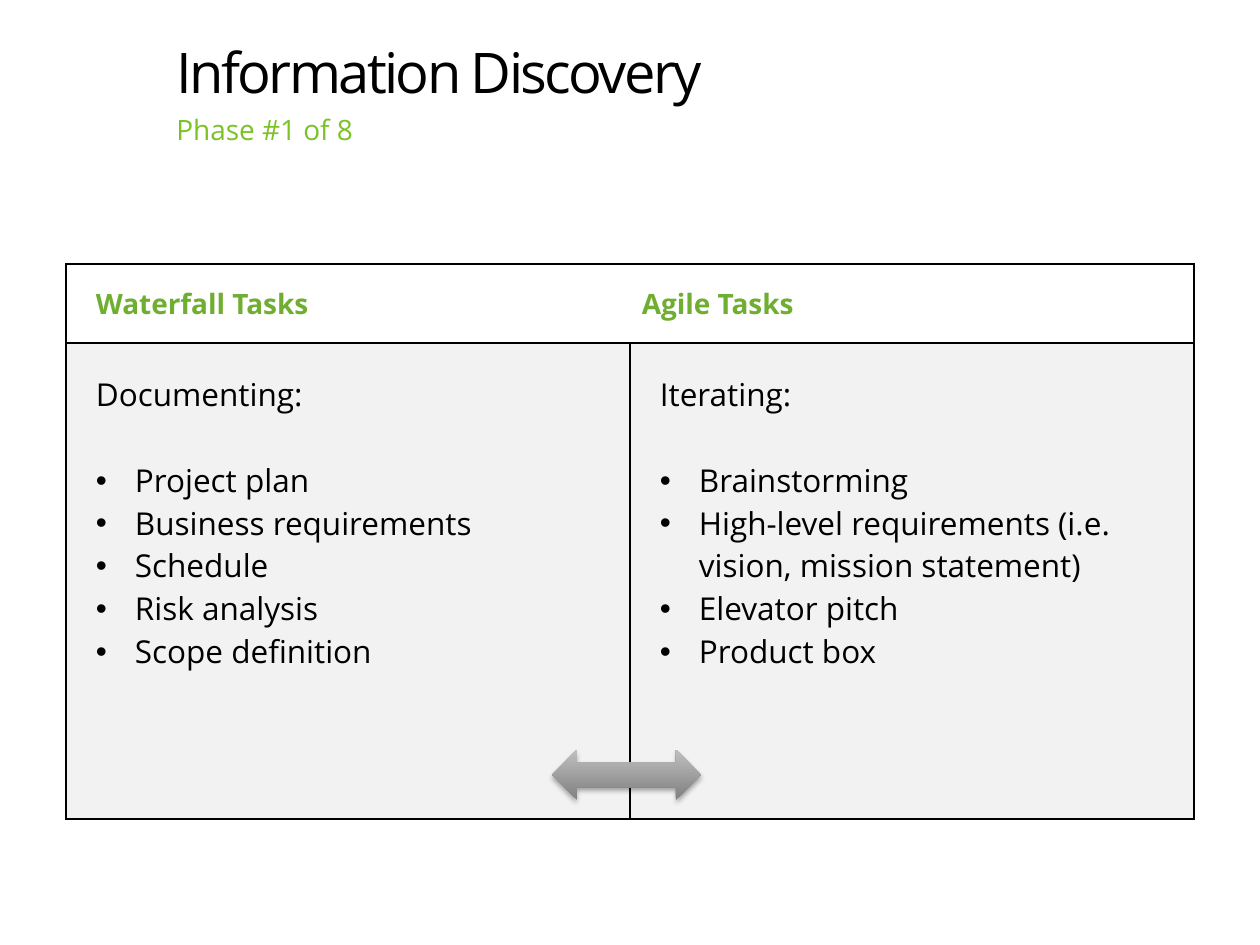
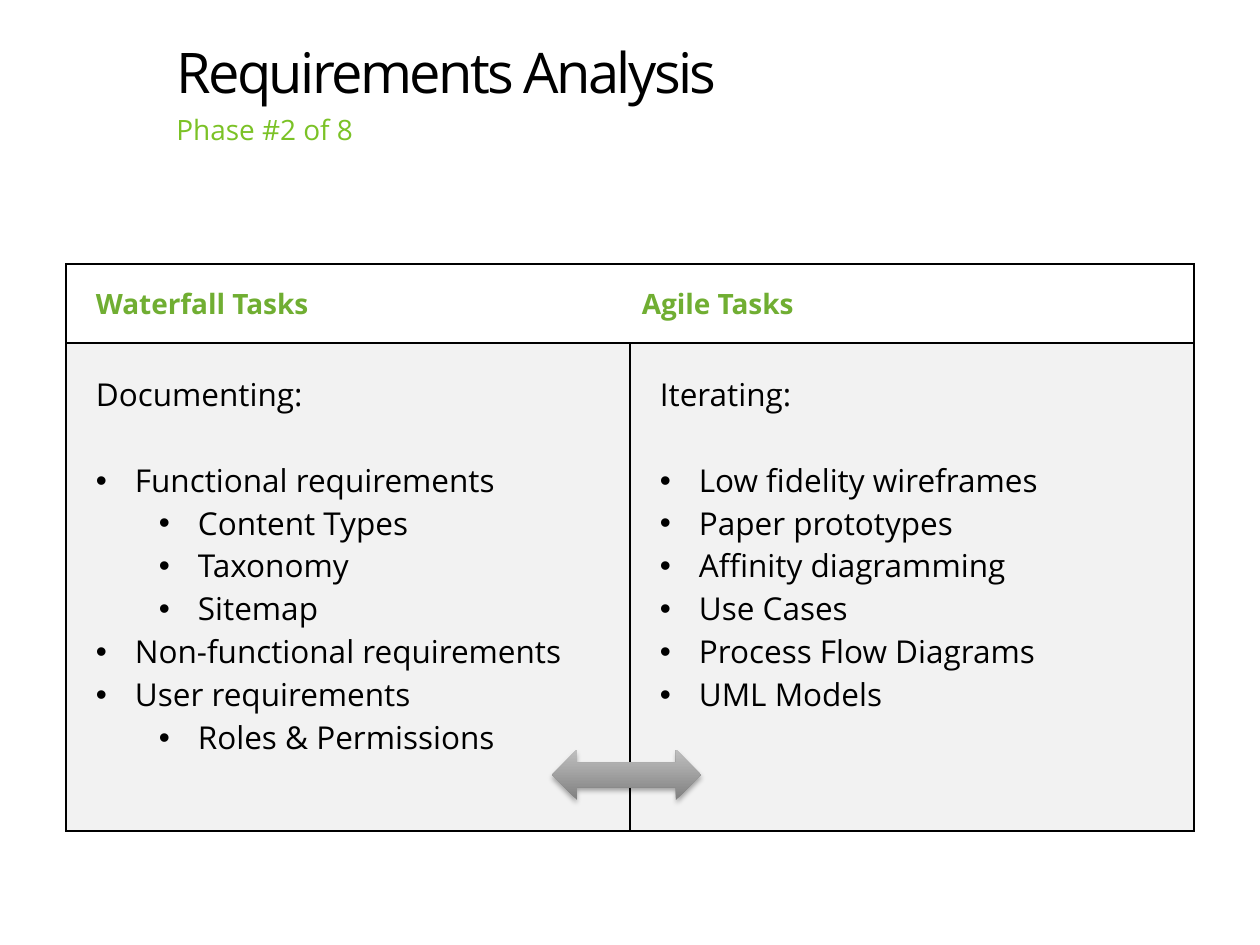
"""Build two slides that compare waterfall and agile tasks by project phase."""
from lxml import etree
from pptx import Presentation
from pptx.dml.color import RGBColor
from pptx.enum.shapes import MSO_SHAPE
from pptx.enum.text import MSO_ANCHOR
from pptx.oxml.ns import qn
from pptx.util import Pt

MIDDLE = MSO_ANCHOR.MIDDLE
DOUBLE_ARROW = MSO_SHAPE.LEFT_RIGHT_ARROW

BLACK = RGBColor(0x00, 0x00, 0x00)
LIME = RGBColor(0x7B, 0xC2, 0x26)
GREEN = RGBColor(0x70, 0xAE, 0x32)
PALE_GREY = RGBColor(0xF2, 0xF2, 0xF2)
MID_GREY = RGBColor(0x80, 0x80, 0x80)
LIGHT_GREY = RGBColor(0xBF, 0xBF, 0xBF)

FONT = "Open Sans"
PX_PER_INCH = 126
BORDER_SIDES = ("a:lnL", "a:lnR", "a:lnT", "a:lnB")
PADDING = 30
HANGING = 39
LEVEL_STEP = 63
COLUMN_WIDTH = 564
HEADER_HEIGHT = 79
AGILE_TAB = 546
BLANK_LINE = 24.5

PHASES = [
    ("Information Discovery", 476,
     [(0, "Project plan"), (0, "Business requirements"), (0, "Schedule"),
      (0, "Risk analysis"), (0, "Scope definition")],
     [(0, "Brainstorming"),
      (0, "High-level requirements (i.e. vision, mission statement)"),
      (0, "Elevator pitch"), (0, "Product box")]),
    ("Requirements Analysis", 488,
     [(0, "Functional requirements"), (1, "Content Types"), (1, "Taxonomy"),
      (1, "Sitemap"), (0, "Non-functional requirements"),
      (0, "User requirements"), (1, "Roles & Permissions")],
     [(0, "Low fidelity wireframes"), (0, "Paper prototypes"),
      (0, "Affinity diagramming"), (0, "Use Cases"),
      (0, "Process Flow Diagrams"), (0, "UML Models")]),
]


def emu(px):
    """Convert px to EMU."""
    return round(px * 914400 / PX_PER_INCH)


def add_xml(parent, tag, **attributes):
    """Append a DrawingML element and return it."""
    element = etree.SubElement(parent, qn(tag))
    for name, value in attributes.items():
        element.set(name, str(value))
    return element


class PhaseDeck:
    """Hold the deck style and the current slide."""

    def __init__(self):
        """Start an empty deck."""
        self.presentation = Presentation()
        self.presentation.slide_width = emu(1260)
        self.presentation.slide_height = emu(945)
        self.slide = None

    def new_slide(self):
        """Add a blank slide and make it current."""
        self.slide = self.presentation.slides.add_slide(self.presentation.slide_layouts[6])

    def style(self, paragraph, size, color, bold=False):
        """Set the font of a whole paragraph."""
        font = paragraph.font
        font.name, font.size, font.bold = FONT, Pt(size), bold
        font.color.rgb = color

    def text(self, box, words, size, color, spacing=0):
        """Add a one-paragraph text box."""
        frame = self.slide.shapes.add_textbox(*map(emu, box)).text_frame
        frame.word_wrap = True
        paragraph = frame.paragraphs[0]
        run = paragraph.add_run()
        run.text = words
        self.style(paragraph, size, color)
        if spacing:
            run._r.get_or_add_rPr().set("spc", str(spacing))

    def borders(self, cell):
        """Draw a thin black line on each side of a cell."""
        properties = cell._tc.get_or_add_tcPr()
        for position, side in enumerate(BORDER_SIDES):
            line = add_xml(properties, side, w=Pt(1))
            add_xml(add_xml(line, "a:solidFill"), "a:srgbClr", val=BLACK)
            properties.insert(position, line)

    def margins(self, cell, left, others):
        """Set the inner margins of a cell."""
        cell.margin_left = emu(left)
        cell.margin_top = cell.margin_right = cell.margin_bottom = emu(others)

    def header(self, cell):
        """Fill the heading row that spans both columns."""
        self.margins(cell, PADDING, 0)
        cell.vertical_anchor = MIDDLE
        heading = cell.text_frame.paragraphs[0]
        heading.text = "Waterfall Tasks\tAgile Tasks"
        stops = add_xml(heading._p.get_or_add_pPr(), "a:tabLst")
        add_xml(stops, "a:tab", pos=emu(AGILE_TAB), algn="l")
        self.style(heading, 16, GREEN, bold=True)

    def tasks(self, cell, lead, items):
        """Fill a cell with a lead line and its bulleted tasks."""
        self.margins(cell, PADDING, PADDING)
        frame = cell.text_frame
        intro = frame.paragraphs[0]
        intro.text = lead
        intro.space_after = Pt(BLANK_LINE)
        self.style(intro, 18, BLACK)
        for level, words in items:
            task = frame.add_paragraph()
            task.text = words
            task.level = level
            properties = task._p.get_or_add_pPr()
            properties.set("marL", str(emu(HANGING + level * LEVEL_STEP)))
            properties.set("indent", str(-emu(HANGING)))
            add_xml(properties, "a:buFont", typeface="Arial")
            add_xml(properties, "a:buChar", char="•")
            self.style(task, 18, BLACK)

    def comparison(self, left, top, body_height, waterfall, agile):
        """Add the table of waterfall and agile tasks."""
        table = self.slide.shapes.add_table(
            2, 2, emu(left), emu(top), emu(2 * COLUMN_WIDTH),
            emu(HEADER_HEIGHT + body_height)).table
        table.first_row = table.horz_banding = False
        for column in table.columns:
            column.width = emu(COLUMN_WIDTH)
        for row, height in zip(table.rows, (HEADER_HEIGHT, body_height)):
            row.height = emu(height)
        table.cell(0, 0).merge(table.cell(0, 1))
        self.header(table.cell(0, 0))
        self.tasks(table.cell(1, 0), "Documenting:", waterfall)
        self.tasks(table.cell(1, 1), "Iterating:", agile)
        for column in range(2):
            table.cell(0, column).fill.background()
            body = table.cell(1, column).fill
            body.solid()
            body.fore_color.rgb = PALE_GREY
        for cell in table.iter_cells():
            self.borders(cell)

    def arrow(self, box):
        """Add the shaded double arrow."""
        arrow = self.slide.shapes.add_shape(DOUBLE_ARROW, *map(emu, box))
        arrow.line.fill.background()
        arrow.fill.gradient()
        arrow.fill.gradient_angle = 90
        for stop, color in zip(arrow.fill.gradient_stops, (MID_GREY, LIGHT_GREY)):
            stop.color.rgb = color
        arrow.shadow.inherit = False
        effects = arrow._element.spPr.find(qn("a:effectLst"))
        shadow = add_xml(effects, "a:outerShdw", blurRad=Pt(3.1), dist=Pt(1.8),
                         dir=5400000, rotWithShape=0)
        add_xml(add_xml(shadow, "a:srgbClr", val=BLACK), "a:alpha", val=35000)


def main():
    """Build and save the deck."""
    deck = PhaseDeck()
    for number, (title, body_height, waterfall, agile) in enumerate(PHASES, 1):
        deck.new_slide()
        deck.text((164, 31, 1042, 203), title, 32, BLACK, spacing=-150)
        deck.text((164, 106, 1032, 69), f"Phase #{number} of 8", 16, LIME)
        deck.comparison(66, 264, body_height, waterfall, agile)
        deck.arrow((552, 750, 149, 50))
    deck.presentation.save("out.pptx")


if __name__ == "__main__":
    main()
